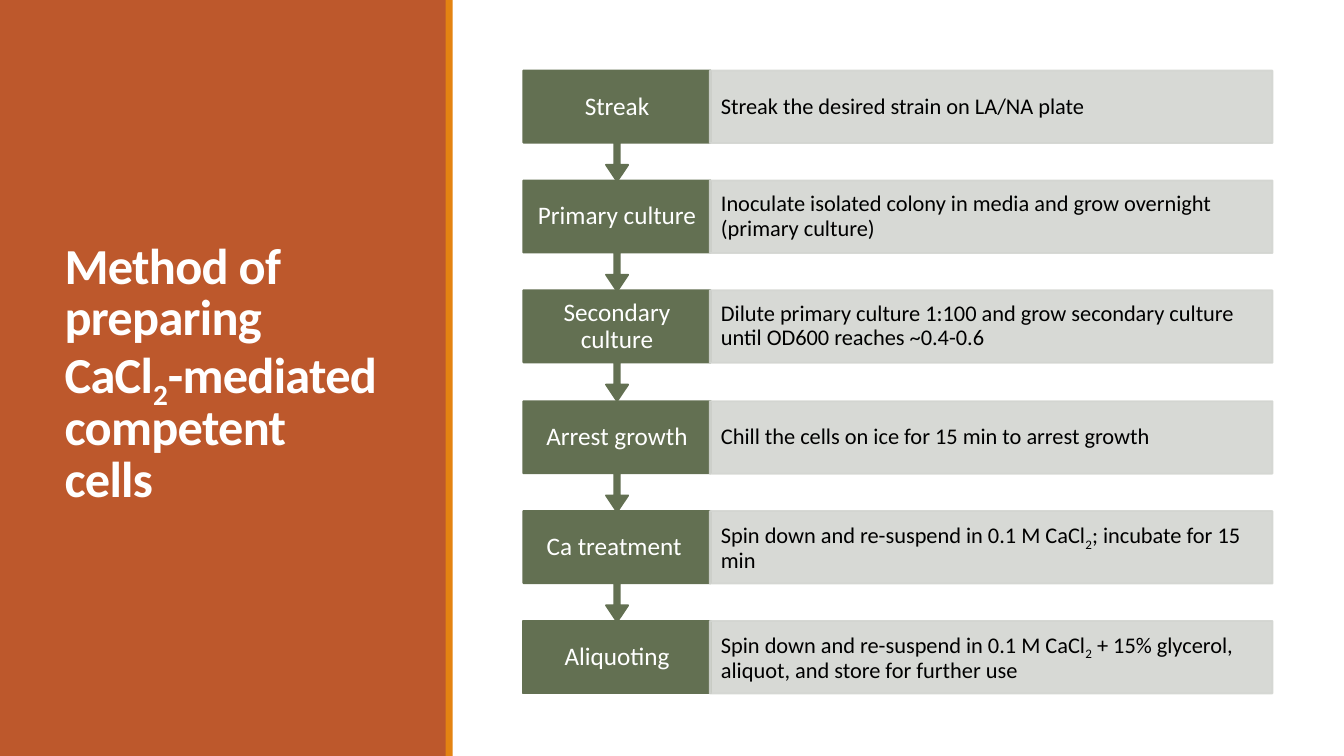
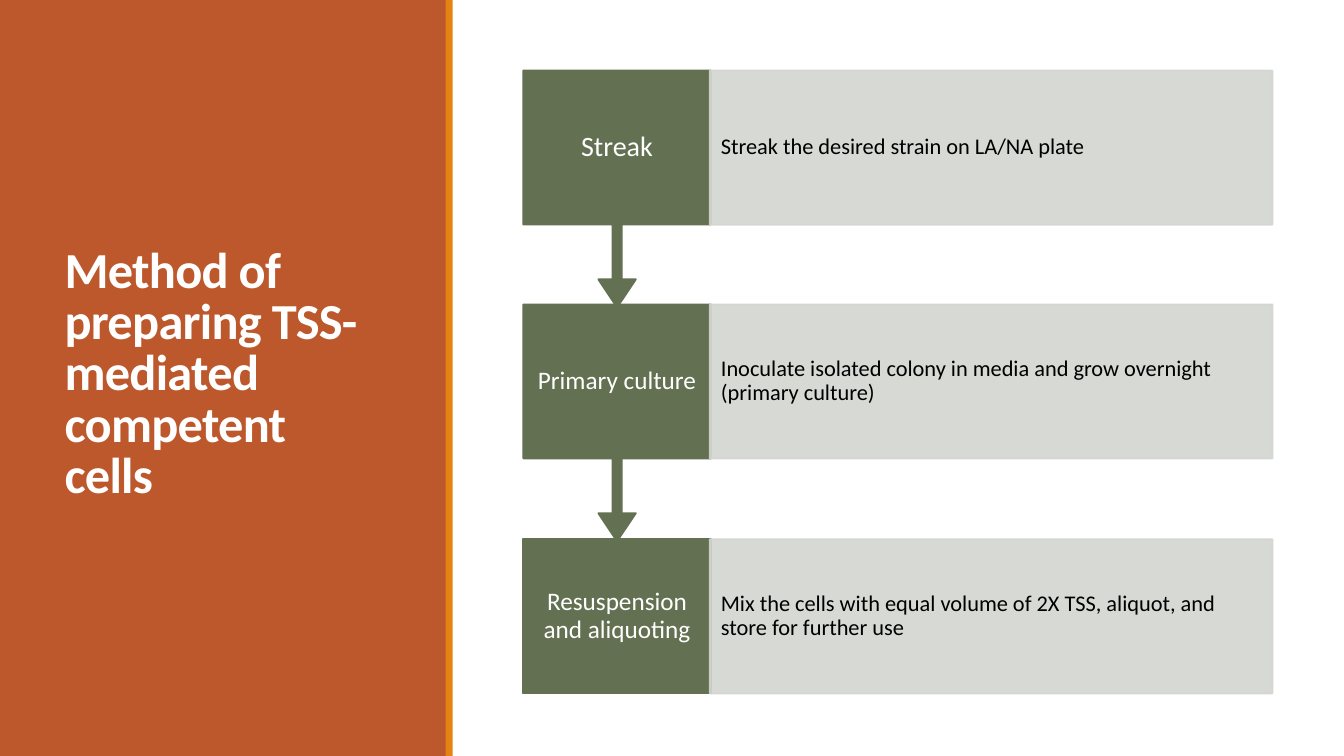
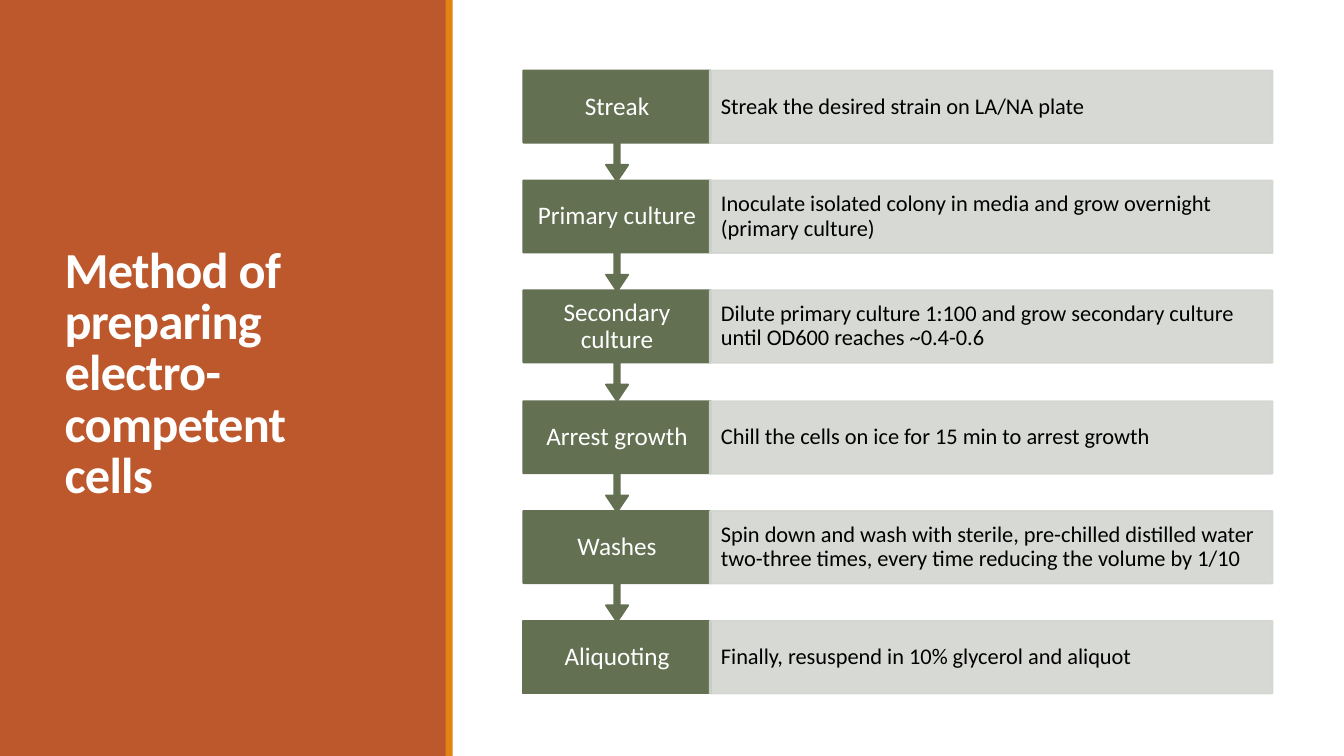
import dataclasses
import typing

import pptx
import pptx.dml.color
import pptx.enum.shapes
import pptx.enum.text
import pptx.oxml.ns
import pptx.oxml.xmlchemy
import pptx.shapes.autoshape
import pptx.shapes.shapetree
import pptx.slide
import pptx.text.text
import pptx.util
from lxml import etree

RGBColor = pptx.dml.color.RGBColor
Shape = pptx.shapes.autoshape.Shape
Shapes = typing.Union[
    pptx.shapes.shapetree.SlideShapes, pptx.shapes.shapetree.GroupShapes
]
PRESET = pptx.enum.shapes.MSO_SHAPE
ALIGN = pptx.enum.text.PP_ALIGN

# Shared look
RUST = RGBColor(0xBD, 0x58, 0x2C)
ORANGE = RGBColor(0xE4, 0x83, 0x12)
GREEN = RGBColor(0x63, 0x70, 0x52)
GREY = RGBColor(0xD3, 0xD5, 0xD1)
WHITE = RGBColor(0xFF, 0xFF, 0xFF)
BLACK = RGBColor(0x00, 0x00, 0x00)
FONT = "Calibri"

EMU_PER_PX = 9144  # 100 px to the inch
SLIDE_WIDTH, SLIDE_HEIGHT = 1333, 750

# Flow chart geometry in px
FLOW_TOP, FLOW_BOTTOM = 70, 688
LABEL_LEFT, LABEL_WIDTH = 519, 186
DETAIL_LEFT, DETAIL_WIDTH = 704, 558
CALLOUT_ADJUSTMENTS = (0.05, 0.1, 0.15, 0.65)
BODY_SHARE = CALLOUT_ADJUSTMENTS[-1]


@dataclasses.dataclass(frozen=True)
class Box:
    left: int
    top: int
    width: int
    height: int

    def emu(self) -> typing.List[int]:
        return [px(length) for length in dataclasses.astuple(self)]


@dataclasses.dataclass(frozen=True)
class Span:
    text: str
    subscript: bool = False


@dataclasses.dataclass(frozen=True)
class TextStyle:
    size: int
    color: RGBColor
    line_spacing: float = 0.9
    align: ALIGN = ALIGN.LEFT
    inset_x: int = 10
    inset_y: int = 5
    bold: bool = False
    tracking: int = 0  # hundredths of a point


@dataclasses.dataclass(frozen=True)
class Step:
    label: str
    detail: typing.Tuple[Span, ...]
    label_size: int = 18


@dataclasses.dataclass(frozen=True)
class Method:
    title: typing.Tuple[Span, ...]
    steps: typing.Tuple[Step, ...]
    row_height: int


TITLE_STYLE = TextStyle(36, WHITE, line_spacing=0.85, bold=True, tracking=-50)
LABEL_STYLE = TextStyle(18, WHITE, align=ALIGN.CENTER, inset_x=13, inset_y=14)
DETAIL_STYLE = TextStyle(16, BLACK, inset_x=11, inset_y=22)

# Content
SUB_TWO = Span("2", subscript=True)
STREAK = Step("Streak", (Span("Streak the desired strain on LA/NA plate"),))
PRIMARY = Step(
    "Primary culture",
    (Span("Inoculate isolated colony in media and grow overnight (primary culture)"),),
)
SECONDARY = Step(
    "Secondary culture",
    (Span("Dilute primary culture 1:100 and grow secondary culture "
          "until OD600 reaches ~0.4-0.6"),),
)
ARREST = Step(
    "Arrest growth",
    (Span("Chill the cells on ice for 15 min to arrest growth"),),
)
GROWTH = (STREAK, PRIMARY, SECONDARY, ARREST)
RESUSPEND = Span("Spin down and re-suspend in 0.1 M CaCl")

METHODS = (
    Method(
        (Span("Method of preparing CaCl"), SUB_TWO, Span("-mediated competent cells")),
        GROWTH + (
            Step("Ca treatment ",
                 (RESUSPEND, SUB_TWO, Span("; incubate for 15 min"))),
            Step("Aliquoting",
                 (RESUSPEND, SUB_TWO,
                  Span(" + 15% glycerol, aliquot, and store for further use"))),
        ),
        row_height=72,
    ),
    Method(
        (Span("Method of preparing TSS-mediated competent cells"),),
        (
            dataclasses.replace(STREAK, label_size=20),
            PRIMARY,
            Step("Resuspension and aliquoting",
                 (Span("Mix the cells with equal volume of 2X TSS, aliquot, "
                       "and store for further use"),)),
        ),
        row_height=153,
    ),
    Method(
        (Span("Method of preparing electro-competent cells"),),
        GROWTH + (
            Step("Washes",
                 (Span("Spin down and wash with sterile, pre-chilled distilled water "
                       "two-three times, every time reducing the volume by 1/10"),)),
            Step("Aliquoting",
                 (Span("Finally, resuspend in 10% glycerol and aliquot"),)),
        ),
        row_height=72,
    ),
)


# Drawing helpers
def px(length: int) -> int:
    return pptx.util.Emu(length * EMU_PER_PX)


def write_text(
    frame: pptx.text.text.TextFrame,
    spans: typing.Iterable[Span],
    style: TextStyle,
) -> None:
    frame.word_wrap = True
    frame.auto_size = pptx.enum.text.MSO_AUTO_SIZE.NONE
    frame.vertical_anchor = pptx.enum.text.MSO_ANCHOR.MIDDLE
    frame.margin_left = frame.margin_right = px(style.inset_x)
    frame.margin_top = frame.margin_bottom = px(style.inset_y)
    para = frame.paragraphs[0]
    para.alignment = style.align
    para.line_spacing = style.line_spacing
    for span in spans:
        run = para.add_run()
        run.text = span.text
        run.font.name = FONT
        run.font.size = pptx.util.Pt(style.size)
        run.font.bold = style.bold
        run.font.color.rgb = style.color
        properties = run.font._element
        if style.tracking:
            properties.set("spc", str(style.tracking))
        if span.subscript:
            properties.set("baseline", "-25000")


def add_block(
    shapes: Shapes,
    box: Box,
    color: RGBColor,
    preset: PRESET = PRESET.RECTANGLE,
    outlined: bool = False,
) -> Shape:
    block = shapes.add_shape(preset, *box.emu())
    block.shadow.inherit = False
    block.fill.solid()
    block.fill.fore_color.rgb = color
    if outlined:
        block.line.color.rgb = color
        block.line.width = pptx.util.Pt(1.25)
    else:
        block.line.fill.background()
    return block


def set_opacity(block: Shape, percent: int) -> None:
    qn = pptx.oxml.ns.qn
    for color in block._element.spPr.iter(qn("a:srgbClr")):
        etree.SubElement(color, qn("a:alpha")).set("val", str(percent * 1000))


def add_step(
    shapes: Shapes, step: Step, top: int, row_height: int, is_last: bool
) -> None:
    label_box = Box(LABEL_LEFT, top, LABEL_WIDTH, row_height)
    if is_last:
        add_block(shapes, label_box, GREEN, outlined=True)
    else:
        callout_box = dataclasses.replace(
            label_box, height=int(row_height / BODY_SHARE)
        )
        callout = add_block(
            shapes, callout_box, GREEN, PRESET.UP_ARROW_CALLOUT, outlined=True
        )
        callout.rotation = 180
        for index, value in enumerate(CALLOUT_ADJUSTMENTS):
            callout.adjustments[index] = value

    # The label stays upright above the rotated callout
    label = shapes.add_textbox(*label_box.emu())
    label_style = dataclasses.replace(
        LABEL_STYLE, size=step.label_size, inset_y=step.label_size - 4
    )
    write_text(label.text_frame, (Span(step.label),), label_style)

    detail_box = Box(DETAIL_LEFT, top, DETAIL_WIDTH, row_height)
    detail = add_block(shapes, detail_box, GREY, outlined=True)
    set_opacity(detail, 90)
    write_text(detail.text_frame, step.detail, DETAIL_STYLE)


def add_flow(slide: pptx.slide.Slide, method: Method) -> None:
    flow = slide.shapes.add_group_shape()
    last = len(method.steps) - 1
    pitch = (FLOW_BOTTOM - FLOW_TOP - method.row_height) / last
    # Bottom row first, so each arrow tip lies over the next row
    for index in range(last, -1, -1):
        top = FLOW_TOP + round(index * pitch)
        add_step(
            flow.shapes, method.steps[index], top, method.row_height, index == last
        )


def add_side_panel(
    slide: pptx.slide.Slide, title_spans: typing.Iterable[Span]
) -> None:
    title = slide.shapes.title
    panel = add_block(slide.shapes, Box(0, 0, 443, SLIDE_HEIGHT), RUST)
    title._element.addprevious(panel._element)
    title.left, title.top, title.width, title.height = Box(54, 57, 337, 631).emu()
    write_text(title.text_frame, title_spans, TITLE_STYLE)
    add_block(slide.shapes, Box(442, 0, 7, SLIDE_HEIGHT), ORANGE)


def main() -> None:
    deck = pptx.Presentation()
    deck.slide_width, deck.slide_height = px(SLIDE_WIDTH), px(SLIDE_HEIGHT)
    title_only = deck.slide_layouts.get_by_name("Title Only")
    for method in METHODS:
        slide = deck.slides.add_slide(title_only)
        add_side_panel(slide, method.title)
        add_flow(slide, method)
    deck.save("out.pptx")


if __name__ == "__main__":
    main()
